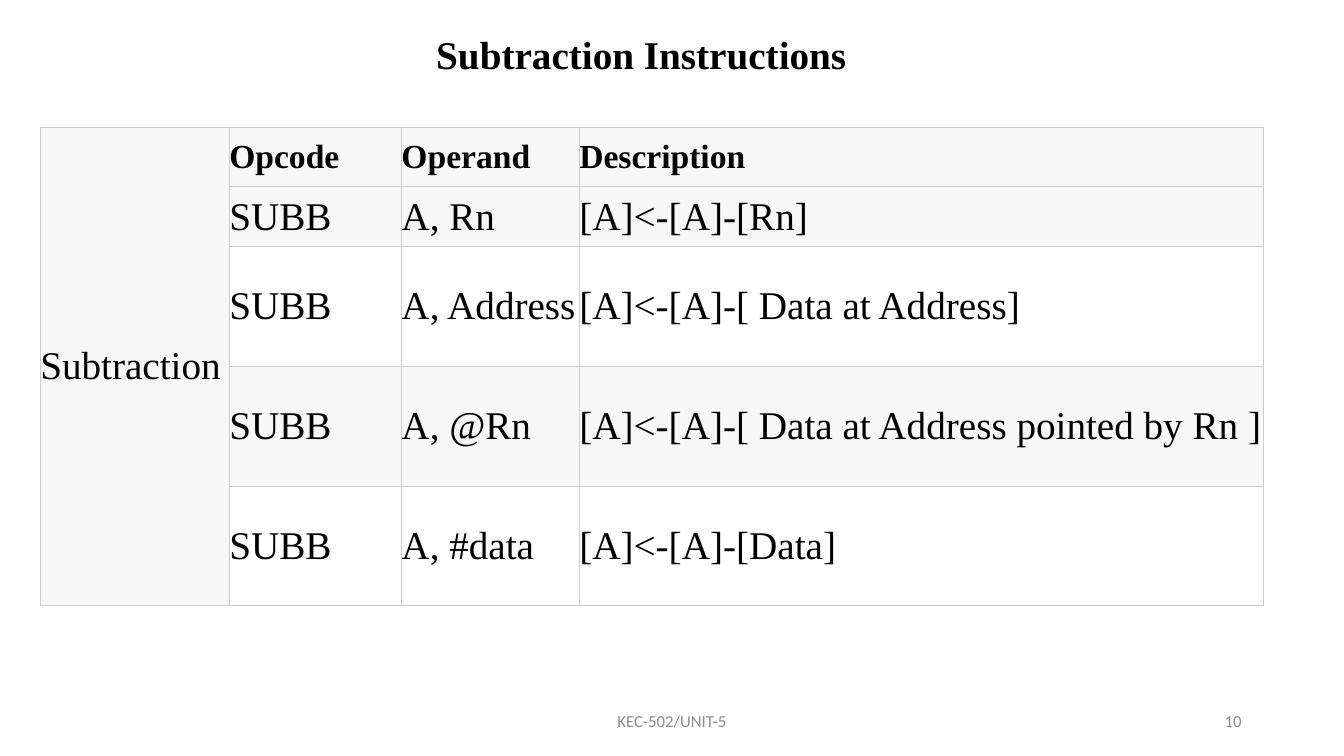
from dataclasses import dataclass

from lxml.etree import SubElement
from pptx import Presentation
from pptx.dml.color import RGBColor
from pptx.enum.text import MSO_ANCHOR, PP_ALIGN
from pptx.oxml.ns import qn
from pptx.util import Pt

BLACK = RGBColor(0x00, 0x00, 0x00)
WHITE = RGBColor(0xFF, 0xFF, 0xFF)
BAND = RGBColor(0xF7, 0xF7, 0xF7)
BORDER = RGBColor(0xCC, 0xCC, 0xCC)
FOOTER = RGBColor(0x8C, 0x8C, 0x8C)
SERIF = "Times New Roman"


@dataclass
class Label:
    text: str
    left: float
    top: float
    width: float
    height: float
    font: dict
    align: PP_ALIGN = PP_ALIGN.LEFT
    anchor: MSO_ANCHOR = MSO_ANCHOR.MIDDLE
    wrap: bool = True


@dataclass
class Instruction:
    operand: str
    description: str
    height: float
    fill: RGBColor
    opcode: str = "SUBB"


def write(tf, text: str, font: dict, align: PP_ALIGN = PP_ALIGN.LEFT) -> None:
    p = tf.paragraphs[0]
    p.alignment = align
    r = p.add_run()
    r.text = text
    r.font.color.rgb = font["color"]
    for name in ("name", "size", "bold"):
        setattr(r.font, name, font[name])


def add_label(s, label: Label) -> None:
    box = (label.left, label.top, label.width, label.height)
    tf = s.shapes.add_textbox(*map(Pt, box)).text_frame
    tf.word_wrap = label.wrap
    tf.vertical_anchor = label.anchor
    write(tf, label.text, label.font, label.align)


def format_cell(cell, fill: RGBColor) -> None:
    for side in ("left", "right", "top", "bottom"):
        setattr(cell, f"margin_{side}", 0)
    cell.vertical_anchor = MSO_ANCHOR.MIDDLE
    tcPr = cell._tc.get_or_add_tcPr()
    for tag in ("a:lnL", "a:lnR", "a:lnT", "a:lnB"):
        ln = SubElement(tcPr, qn(tag), w=str(Pt(0.6)))
        SubElement(SubElement(ln, qn("a:solidFill")), qn("a:srgbClr"), val=str(BORDER))
    cell.fill.solid()
    cell.fill.fore_color.rgb = fill


def add_instruction_table(s, group: str, instructions: list[Instruction]) -> None:
    widths = (135, 123, 127, 489)
    heights = [HEADER_HEIGHT] + [i.height for i in instructions]
    fills = [BAND] + [i.fill for i in instructions]
    rows = [("Opcode", "Operand", "Description")]
    rows += [(i.opcode, i.operand, i.description) for i in instructions]
    table = s.shapes.add_table(
        len(rows), len(widths), Pt(28.8), Pt(90.7), Pt(sum(widths)), Pt(sum(heights))
    ).table
    for column, width in zip(table.columns, widths):
        column.width = Pt(width)
    for n, (texts, height, fill) in enumerate(zip(rows, heights, fills)):
        table.rows[n].height = Pt(height)
        format_cell(table.cell(n, 0), BAND)
        for col, text in enumerate(texts, 1):
            cell = table.cell(n, col)
            format_cell(cell, fill)
            write(cell.text_frame, text, BODY_FONT if n else HEADER_FONT)
    group_cell = table.cell(0, 0)
    group_cell.merge(table.cell(len(rows) - 1, 0))
    write(group_cell.text_frame, group, BODY_FONT)


HEADER_HEIGHT = 42.75
TALL = 2 * HEADER_HEIGHT
BODY_FONT = {"name": SERIF, "size": Pt(28), "bold": False, "color": BLACK}
HEADER_FONT = BODY_FONT | {"size": Pt(24), "bold": True}
TITLE_FONT = BODY_FONT | {"bold": True}
FOOTER_FONT = {"name": "Calibri", "size": Pt(12), "bold": False, "color": FOOTER}

INSTRUCTIONS = [
    Instruction("A, Rn", "[A]<-[A]-[Rn]", HEADER_HEIGHT, BAND),
    Instruction("A, Address", "[A]<-[A]-[ Data at Address]", TALL, WHITE),
    Instruction("A, @Rn", "[A]<-[A]-[ Data at Address pointed by Rn ]", TALL, BAND),
    Instruction("A, #data", "[A]<-[A]-[Data]", TALL, WHITE),
]
LABELS = [
    Label("KEC-502/UNIT-5", 318, 500.5, 324, 28.8, FOOTER_FONT, PP_ALIGN.CENTER),
    Label("10", 678, 500.5, 216, 28.8, FOOTER_FONT, PP_ALIGN.RIGHT),
    Label("Subtraction Instructions", 304.5, 18, 311, 75, TITLE_FONT,
          anchor=MSO_ANCHOR.TOP, wrap=False),
]

prs = Presentation()
prs.slide_width, prs.slide_height = Pt(960), Pt(540)
s = prs.slides.add_slide(prs.slide_layouts[6])
add_instruction_table(s, "Subtraction", INSTRUCTIONS)
for label in LABELS:
    add_label(s, label)
prs.save("out.pptx")
